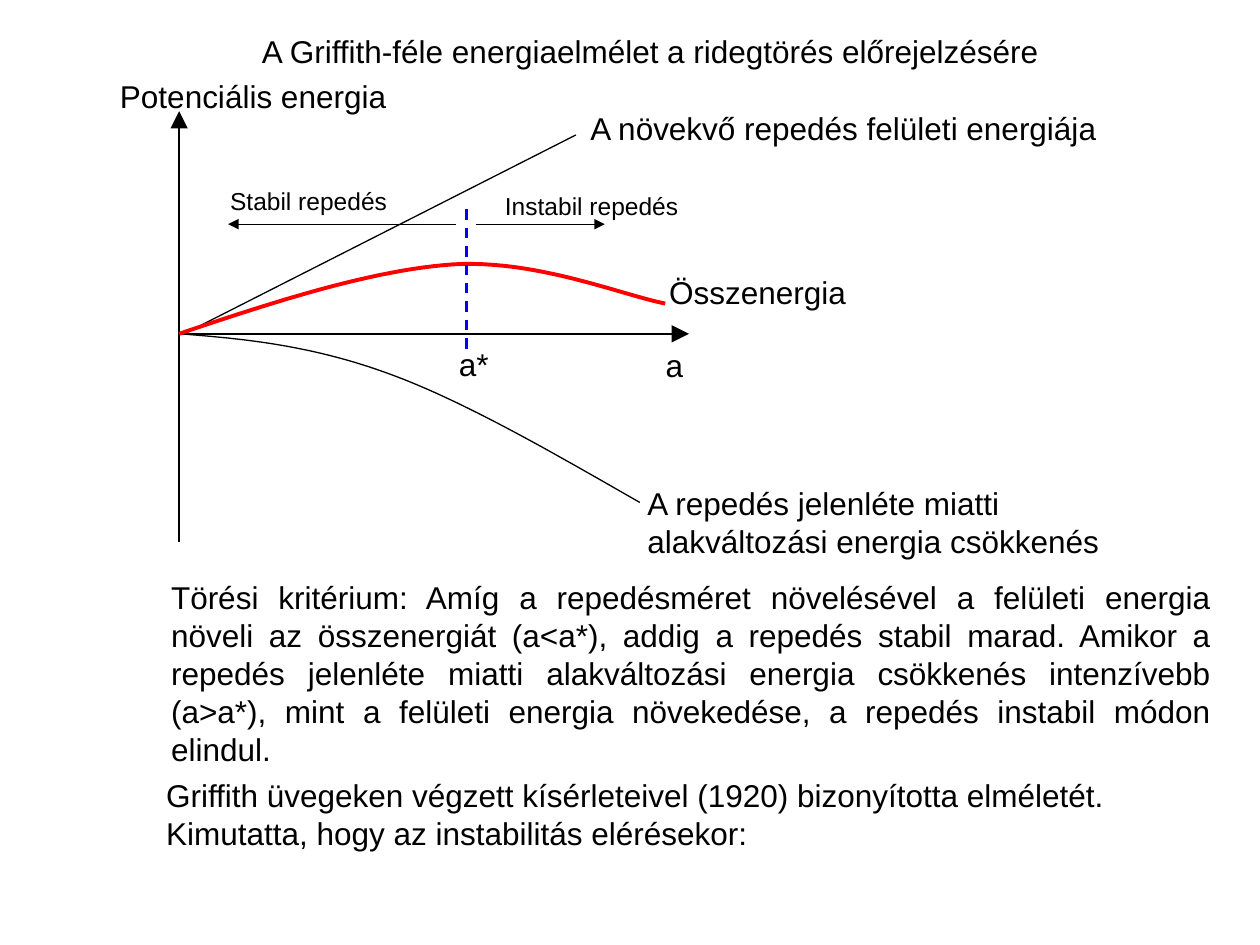
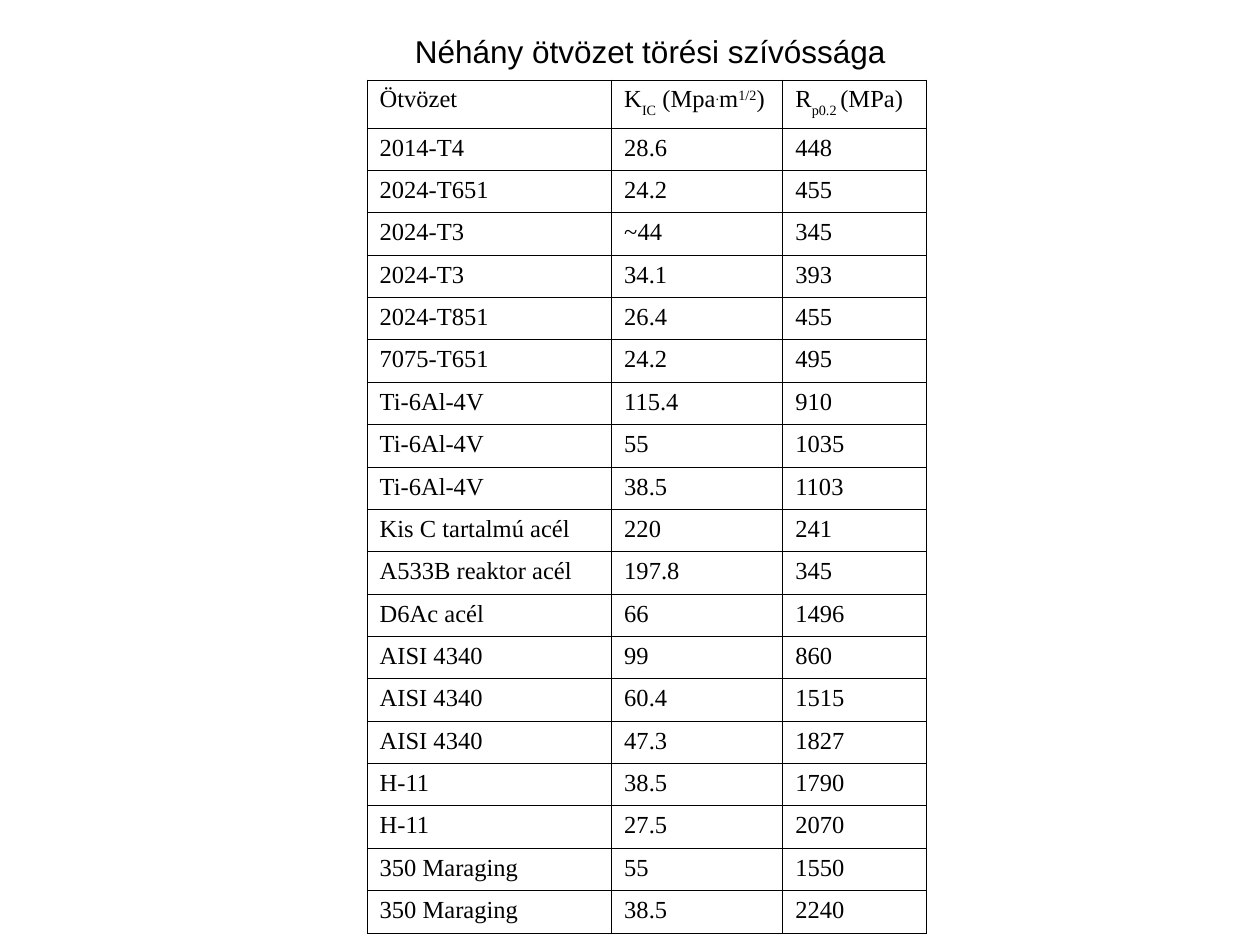
"""Build two slides on the Griffith energy theory and the fracture toughness of alloys."""
from lxml import etree
from pptx import Presentation
from pptx import util as u
from pptx.dml.color import RGBColor
from pptx.enum import dml, shapes, text
from pptx.oxml import ns

BLACK = RGBColor(0x00, 0x00, 0x00)
RED = RGBColor(0xFF, 0x00, 0x00)
BLUE = RGBColor(0x00, 0x00, 0xFF)
BODY_FONT = "Arial"
TABLE_FONT = "Times New Roman"
BODY_SIZE = 18
SMALL_SIZE = 14

TITLE_CENTRE = 13.11
ORIGIN_X, ORIGIN_Y = 3.61, 6.73
CRITICAL_X = 9.4
STABILITY_Y = 4.52
CURVE_STEPS = 24

STRAIN_ENERGY = [
    (ORIGIN_X, ORIGIN_Y), (4.93, 6.83), (6.25, 6.96), (7.8, 7.52),
    (9.35, 8.08), (11.13, 9.12), (12.9, 10.13),
]
TOTAL_ENERGY = [
    (ORIGIN_X, ORIGIN_Y), (5.56, 6.07), (7.52, 5.44), (9.14, 5.33),
    (10.8, 5.23), (12.52, 5.94), (13.41, 6.12),
]

CRITERION = (
    "Törési kritérium: Amíg a repedésméret növelésével a felületi energia növeli az "
    "összenergiát (a<a*), addig a repedés stabil marad. Amikor a repedés jelenléte miatti "
    "alakváltozási energia csökkenés intenzívebb (a>a*), mint a felületi energia növekedése, "
    "a repedés instabil módon elindul."
)
EXPERIMENT = (
    "Griffith üvegeken végzett kísérleteivel (1920) bizonyította elméletét. "
    "Kimutatta, hogy az instabilitás elérésekor:"
)

COLUMN_WIDTHS = (4.93, 3.45, 2.9)
TABLE_HEIGHT = 17.21
HEADER_HEIGHT = 0.97
SUB, NORMAL, SUPER = -30000, 0, 30000
HEADER = [
    [("Ötvözet", NORMAL)],
    [("K", NORMAL), ("IC", SUB), (" (Mpa", NORMAL), (".", SUPER),
     ("m", NORMAL), ("1/2", SUPER), (")", NORMAL)],
    [("R", NORMAL), ("p0.2 ", SUB), ("(MPa)", NORMAL)],
]
ALLOYS = [
    ("2014-T4", "28.6", "448"),
    ("2024-T651", "24.2", "455"),
    ("2024-T3", "~44", "345"),
    ("2024-T3", "34.1", "393"),
    ("2024-T851", "26.4", "455"),
    ("7075-T651", "24.2", "495"),
    ("Ti-6Al-4V", "115.4", "910"),
    ("Ti-6Al-4V", "55", "1035"),
    ("Ti-6Al-4V", "38.5", "1103"),
    ("Kis C tartalmú acél", "220", "241"),
    ("A533B reaktor acél", "197.8", "345"),
    ("D6Ac acél", "66", "1496"),
    ("AISI 4340", "99", "860"),
    ("AISI 4340", "60.4", "1515"),
    ("AISI 4340", "47.3", "1827"),
    ("H-11", "38.5", "1790"),
    ("H-11", "27.5", "2070"),
    ("350 Maraging", "55", "1550"),
    ("350 Maraging", "38.5", "2240"),
]


def style_paragraph(paragraph, font, size, align):
    """Set the font and alignment of a paragraph."""
    paragraph.font.name = font
    paragraph.font.size = u.Pt(size)
    paragraph.font.color.rgb = BLACK
    paragraph.alignment = align


def add_text(slide, words, left, top, width, height=1.02, size=BODY_SIZE,
             align=text.PP_ALIGN.LEFT, insets=(0.25, 0.13)):
    """Add a wrapping text box of fixed size."""
    box = slide.shapes.add_textbox(u.Cm(left), u.Cm(top), u.Cm(width), u.Cm(height))
    frame = box.text_frame
    frame.word_wrap = True
    frame.auto_size = text.MSO_AUTO_SIZE.NONE
    frame.margin_left = frame.margin_right = u.Cm(insets[0])
    frame.margin_top = frame.margin_bottom = u.Cm(insets[1])
    frame.text = words
    style_paragraph(frame.paragraphs[0], BODY_FONT, size, align)


def add_title(slide, words, width):
    """Add the slide title around the common centre line."""
    add_text(slide, words, TITLE_CENTRE - width / 2, 0.51, width,
             align=text.PP_ALIGN.CENTER)


def add_line(slide, start, end, width=0.75, color=BLACK, arrow=None, dash=None):
    """Add a straight line, with an arrowhead of the given size at its end."""
    points = [u.Cm(value) for value in (*start, *end)]
    line = slide.shapes.add_connector(shapes.MSO_CONNECTOR.STRAIGHT, *points)
    line.line.color.rgb = color
    line.line.width = u.Pt(width)
    if dash:
        line.line.dash_style = dash
    if arrow:
        etree.SubElement(line.line._get_or_add_ln(), ns.qn("a:tailEnd"),
                         type="triangle", w=arrow, len=arrow)
    etree.SubElement(line._element.spPr, ns.qn("a:effectLst"))


def bezier_point(controls, t):
    """Return the point at t on a cubic curve."""
    weights = ((1 - t) ** 3, 3 * t * (1 - t) ** 2, 3 * t ** 2 * (1 - t), t ** 3)
    return tuple(
        u.Cm(sum(weight * point[axis] for weight, point in zip(weights, controls)))
        for axis in (0, 1)
    )


def add_curve(slide, controls, width, color):
    """Add an open curve of joined cubic segments."""
    points = [
        bezier_point(controls[first:first + 4], step / CURVE_STEPS)
        for first in range(0, len(controls) - 1, 3)
        for step in range(1, CURVE_STEPS + 1)
    ]
    start_x, start_y = (u.Cm(value) for value in controls[0])
    builder = slide.shapes.build_freeform(start_x, start_y)
    builder.add_line_segments(points, close=False)
    curve = builder.convert_to_shape()
    curve.shadow.inherit = False
    curve.fill.background()
    curve.line.color.rgb = color
    curve.line.width = u.Pt(width)


def add_borders(cell, width=0.45):
    """Draw a thin black line on every side of a cell."""
    properties = cell._tc.get_or_add_tcPr()
    for side in ("a:lnL", "a:lnR", "a:lnT", "a:lnB"):
        border = etree.SubElement(properties, ns.qn(side), w=str(u.Pt(width)))
        fill = etree.SubElement(border, ns.qn("a:solidFill"))
        etree.SubElement(fill, ns.qn("a:srgbClr"), val=str(BLACK))


def fill_cell(cell, parts):
    """Write text parts with their baselines into a bordered cell."""
    paragraph = cell.text_frame.paragraphs[0]
    for words, baseline in parts:
        run = paragraph.add_run()
        run.text = words
        if baseline:
            run._r.get_or_add_rPr().set("baseline", str(baseline))
    style_paragraph(paragraph, TABLE_FONT, SMALL_SIZE, text.PP_ALIGN.JUSTIFY)
    add_borders(cell)
    cell.fill.background()


def add_alloy_table(slide):
    """Add the table of alloys."""
    rows = HEADER, *([[(value, NORMAL)] for value in alloy] for alloy in ALLOYS)
    table = slide.shapes.add_table(
        len(rows), len(COLUMN_WIDTHS), u.Cm(7.4), u.Cm(1.61),
        u.Cm(sum(COLUMN_WIDTHS)), u.Cm(TABLE_HEIGHT),
    ).table
    table.first_row = table.horz_banding = False
    for column, width in zip(table.columns, COLUMN_WIDTHS):
        column.width = u.Cm(width)
    body_height = (TABLE_HEIGHT - HEADER_HEIGHT) / len(ALLOYS)
    for index, (row, contents) in enumerate(zip(table.rows, rows)):
        row.height = u.Cm(body_height if index else HEADER_HEIGHT)
        for cell, parts in zip(row.cells, contents):
            fill_cell(cell, parts)


def add_energy_diagram(slide):
    """Add the axes, curves and labels of the energy diagram."""
    axis_insets = (0.13, 0.05)
    add_line(slide, (ORIGIN_X, 10.92), (ORIGIN_X, 2.24), 1.5, arrow="lg")
    add_line(slide, (ORIGIN_X, ORIGIN_Y), (13.89, ORIGIN_Y), 1.5, arrow="lg")
    add_text(slide, "Potenciális energia", 2.29, 1.5, 6.2, 0.89, insets=axis_insets)
    add_text(slide, "a", 13.29, 6.93, 0.9, 0.89, insets=axis_insets)

    add_line(slide, (3.71, ORIGIN_Y), (11.61, 2.72))
    add_curve(slide, STRAIN_ENERGY, 0.75, BLACK)
    add_text(slide, "A növekvő repedés felületi energiája", 11.65, 2.07, 11.4)
    add_text(slide, "A repedés jelenléte miatti alakváltozási energia csökkenés",
             12.8, 9.63, 10.9, 1.78)
    add_curve(slide, TOTAL_ENERGY, 2.25, RED)
    add_text(slide, "Összenergia", 13.24, 5.38, 4.6)

    add_line(slide, (CRITICAL_X, 4.22), (CRITICAL_X, 7.14), 1.5, BLUE,
             dash=dml.MSO_LINE.DASH)
    add_text(slide, "a*", 9, 6.83, 1.5)
    add_line(slide, (9.6, STABILITY_Y), (12.19, STABILITY_Y), arrow="med")
    add_text(slide, "Instabil repedés", 9.93, 3.73, 4.5, 0.86, SMALL_SIZE)
    add_line(slide, (9.19, STABILITY_Y), (4.6, STABILITY_Y), arrow="med")
    add_text(slide, "Stabil repedés", 4.39, 3.63, 4.2, 0.86, SMALL_SIZE)


def main():
    """Build and save the presentation."""
    presentation = Presentation()
    presentation.slide_width, presentation.slide_height = u.Cm(25.4), u.Cm(19.05)
    blank = presentation.slide_layouts[6]

    slide = presentation.slides.add_slide(blank)
    add_title(slide, "A Griffith-féle energiaelmélet a ridegtörés előrejelzésére", 17)
    add_energy_diagram(slide)
    add_text(slide, CRITERION, 3.2, 11.53, 21.46, 4.06, align=text.PP_ALIGN.JUSTIFY)
    add_text(slide, EXPERIMENT, 3.1, 15.52, 21.72, 1.78)

    slide = presentation.slides.add_slide(blank)
    add_title(slide, "Néhány ötvözet törési szívóssága", 10.8)
    add_alloy_table(slide)

    presentation.save("out.pptx")


if __name__ == "__main__":
    main()
